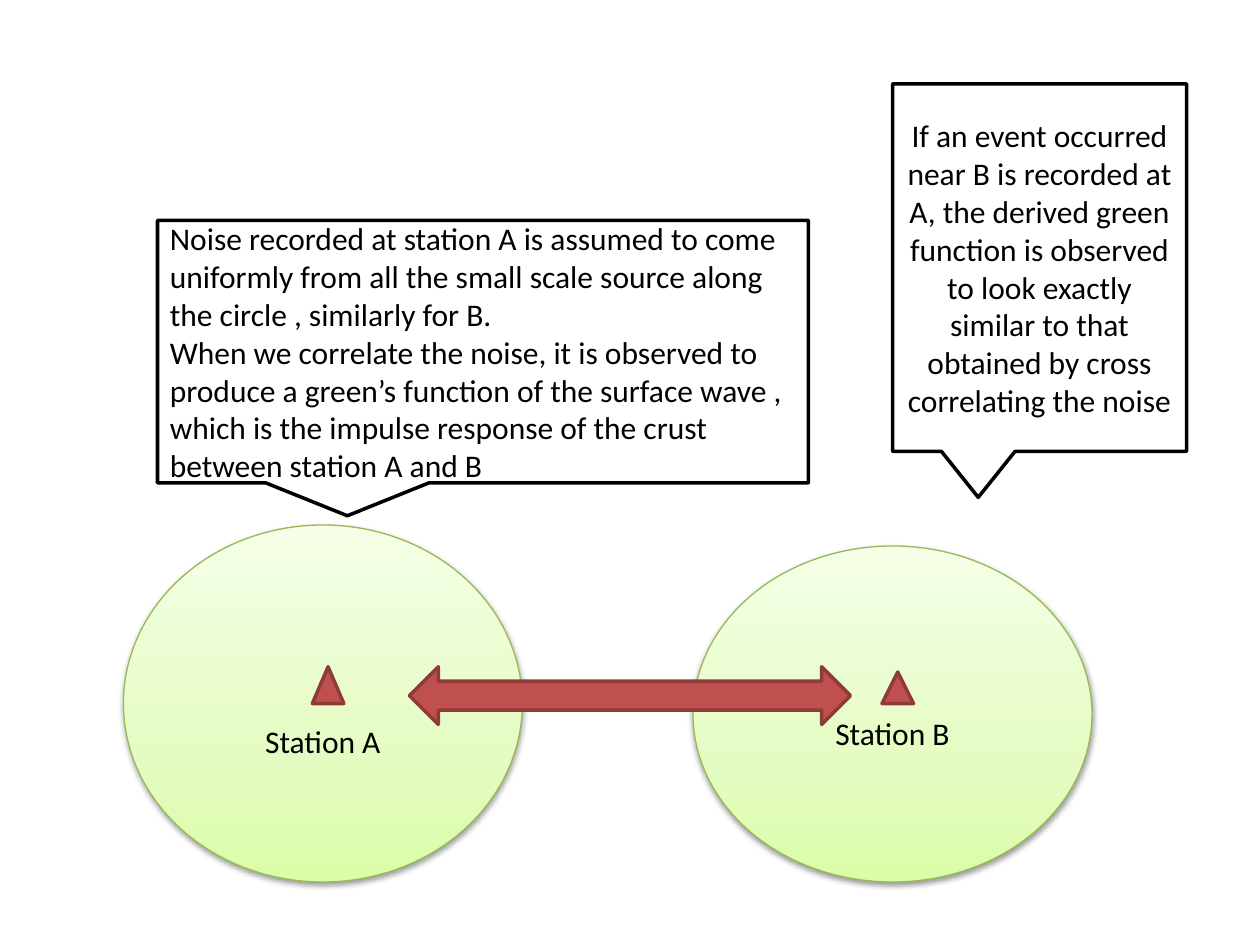
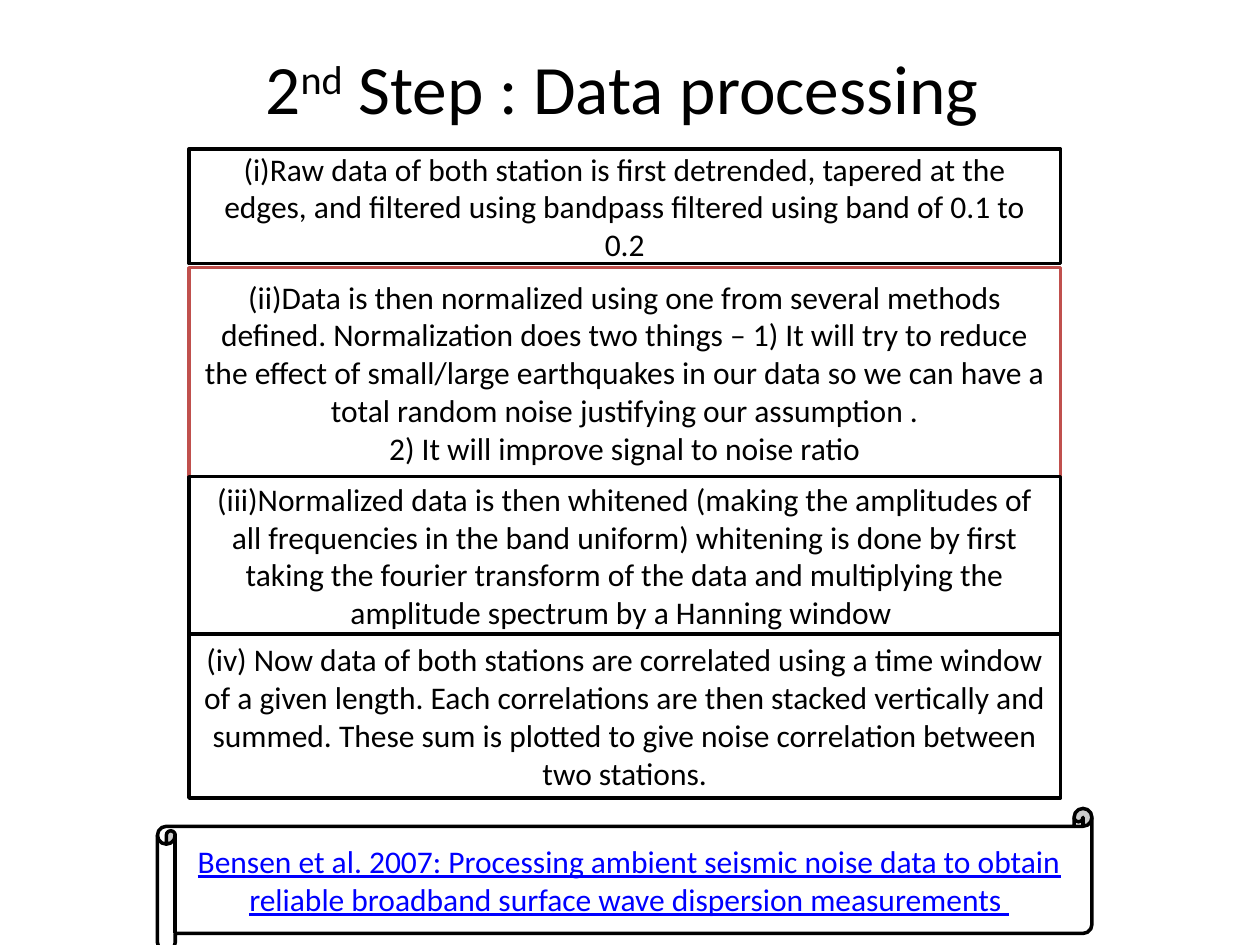
import pptx
import pptx.util
import pptx.dml.color
import pptx.enum.shapes
import pptx.enum.text
import pptx.oxml
import copy

COLORS = {
    "ink": "000000", "paper": "FFFFFF", "red": "C0504D", "red_edge": "8E3B39",
    "green_edge": "98B955", "link": "0000FF",
}
GREEN_STOPS = [(0, "DAFDA7"), (0.35, "E4FCC2"), (1, "F5FFE7")]
FONT = "Calibri"
BODY_SIZE, TITLE_SIZE = 18, 39.6
WIDTH, HEIGHT = pptx.util.Inches(10), pptx.util.Inches(7.5)
COLS, ROWS = 120, 90
SHADOW = (
    '<a:outerShdw xmlns:a="http://schemas.openxmlformats.org/drawingml/2006/main" '
    'blurRad="40000" dist="20000" dir="5400000" rotWithShape="0">'
    '<a:srgbClr val="000000"><a:alpha val="38000"/></a:srgbClr></a:outerShdw>'
)
SHAPE = pptx.enum.shapes.MSO_SHAPE
ALIGN = pptx.enum.text.PP_ALIGN


def rgb(name):
    return pptx.dml.color.RGBColor.from_string(COLORS.get(name, name))


def place(box):
    """Turn a box in grid columns and rows into slide lengths."""
    x, y, w, h = box
    return (int(x * WIDTH / COLS), int(y * HEIGHT / ROWS),
            int(w * WIDTH / COLS), int(h * HEIGHT / ROWS))


def style_run(r, size=BODY_SIZE, color="ink"):
    r.font.name = FONT
    r.font.size = pptx.util.Pt(size)
    r.font.color.rgb = rgb(color)


def write(sp, text, align=ALIGN.CENTER, color="ink"):
    tf = sp.text_frame
    tf.word_wrap = True
    tf.vertical_anchor = pptx.enum.text.MSO_ANCHOR.MIDDLE
    tf.text = text
    for p in tf.paragraphs:
        p.alignment = align
        for r in p.runs:
            style_run(r, color=color)


def add_shape(s, kind, box, fill="paper", line="ink", weight=2):
    sp = s.shapes.add_shape(kind, *place(box))
    sp.shadow.inherit = False
    sp.fill.solid()
    sp.fill.fore_color.rgb = rgb(fill)
    sp.line.color.rgb = rgb(line)
    sp.line.width = pptx.util.Pt(weight)
    return sp


def fill_green(sp):
    """Vertical three-stop gradient, light at the top, with a soft shadow."""
    sp.fill.gradient()
    sp.fill.gradient_angle = 90
    stop_list = sp._element.spPr.find(".//" + pptx.oxml.ns.qn("a:gsLst"))
    stop_list.append(copy.deepcopy(stop_list[-1]))
    for stop, (position, color) in zip(sp.fill.gradient_stops, GREEN_STOPS):
        stop.position = position
        stop.color.rgb = rgb(color)
    effects = sp._element.spPr.find(pptx.oxml.ns.qn("a:effectLst"))
    effects.append(pptx.oxml.parse_xml(SHADOW))


def station(s, box, name, label_drop, marker):
    """Noise circle with its label below the centre and a triangle marker."""
    sp = add_shape(s, SHAPE.OVAL, box, line="green_edge", weight=0.75)
    fill_green(sp)
    write(sp, name)
    sp.text_frame.margin_top = pptx.util.Inches(0.05 + label_drop)
    x, y, w, h = marker
    add_shape(s, SHAPE.ISOSCELES_TRIANGLE, (box[0] + x, box[1] + y, w, h),
              "red", "red_edge")


def callout(s, box, text, align=ALIGN.CENTER):
    write(add_shape(s, SHAPE.RECTANGULAR_CALLOUT, box), text, align)


def title(s, box, parts):
    """Title from (text, is_superscript) parts."""
    tf = s.shapes.add_textbox(*place(box)).text_frame
    tf.word_wrap = True
    tf.vertical_anchor = pptx.enum.text.MSO_ANCHOR.MIDDLE
    p = tf.paragraphs[0]
    p.alignment = ALIGN.CENTER
    for text, raised in parts:
        r = p.add_run()
        r.text = text
        style_run(r, TITLE_SIZE)
        if raised:
            r._r.get_or_add_rPr().set("baseline", "30000")


def step_stack(s, box, steps):
    """Stack of boxes; each step gives its gap above, height, edge and text."""
    x, y, w, _ = box
    for gap, height, edge, text in steps:
        y += gap
        write(add_shape(s, SHAPE.FLOWCHART_PROCESS, (x, y, w, height), line=edge), text)
        y += height


def reference_scroll(s, box, text):
    sp = add_shape(s, SHAPE.HORIZONTAL_SCROLL, box)
    write(sp, text, color="link")
    for r in sp.text_frame.paragraphs[0].runs:
        r.font.underline = True


def stations_slide(s):
    station(s, (11.75, 50, 38, 34), "Station A", 0.6, (18, 13.5, 3, 3.5))
    station(s, (66, 52, 38, 32), "Station B", 0.3, (18, 12, 3, 3))
    callout(s, (15, 21, 62, 25),
            "Noise recorded at station A is assumed to come uniformly from all the "
            "small scale source along the circle , similarly for B.\n"
            "When we correlate the noise, it is observed to produce a green’s function "
            "of the surface wave , which is the impulse response of the crust between "
            "station A and B", ALIGN.LEFT)
    callout(s, (85, 8, 28, 35),
            "If an event occurred near B is recorded at A, the derived green function "
            "is observed to look exactly similar to that obtained by cross correlating "
            "the noise")
    add_shape(s, SHAPE.LEFT_RIGHT_ARROW, (39, 63.5, 42, 5.5), "red", "red_edge")


def processing_slide(s):
    title(s, (6, 3.6, 108, 9.4),
          [("2", False), ("nd", True), (" Step : Data processing ", False)])
    step_stack(s, (18, 14.2, 83, 61.8), [
        (0, 10.9, "ink",
         "(i)Raw data of both station is first detrended, tapered at the edges, and "
         "filtered using bandpass filtered using band of 0.1 to 0.2"),
        (0.4, 19.9, "red",
         "(ii)Data is then normalized using one from several methods defined. "
         "Normalization does two things – 1) It will try to reduce the effect of "
         "small/large earthquakes in our data so we can have a total random noise "
         "justifying our assumption .\n2) It will improve signal to noise ratio"),
        (0, 15, "ink",
         "(iii)Normalized data is then whitened (making the amplitudes of all "
         "frequencies in the band uniform) whitening is done by first taking the "
         "fourier transform of the data and multiplying the amplitude spectrum by a "
         "Hanning window "),
        (0, 15.6, "ink",
         "(iv) Now data of both stations are correlated using a time window of a given "
         "length. Each correlations are then stacked vertically and summed. These sum "
         "is plotted to give noise correlation between two stations."),
    ])
    reference_scroll(s, (15, 77, 89, 13.6),
                     "Bensen et al. 2007: Processing ambient seismic noise data to obtain "
                     "reliable broadband surface wave dispersion measurements ")


def main():
    prs = pptx.Presentation()
    prs.slide_width, prs.slide_height = WIDTH, HEIGHT
    for build in (stations_slide, processing_slide):
        build(prs.slides.add_slide(prs.slide_layouts[6]))
    prs.save("out.pptx")


if __name__ == "__main__":
    main()
